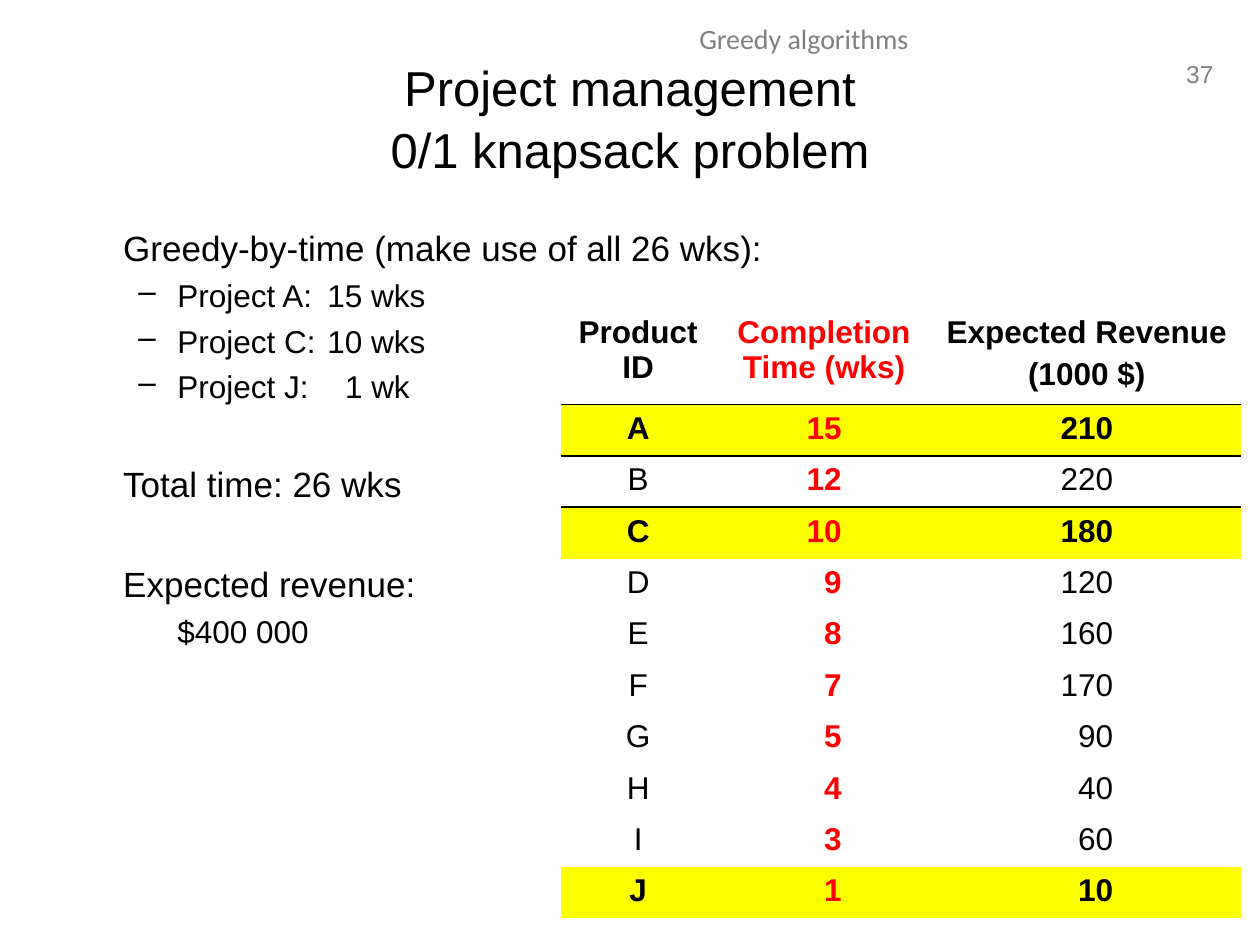
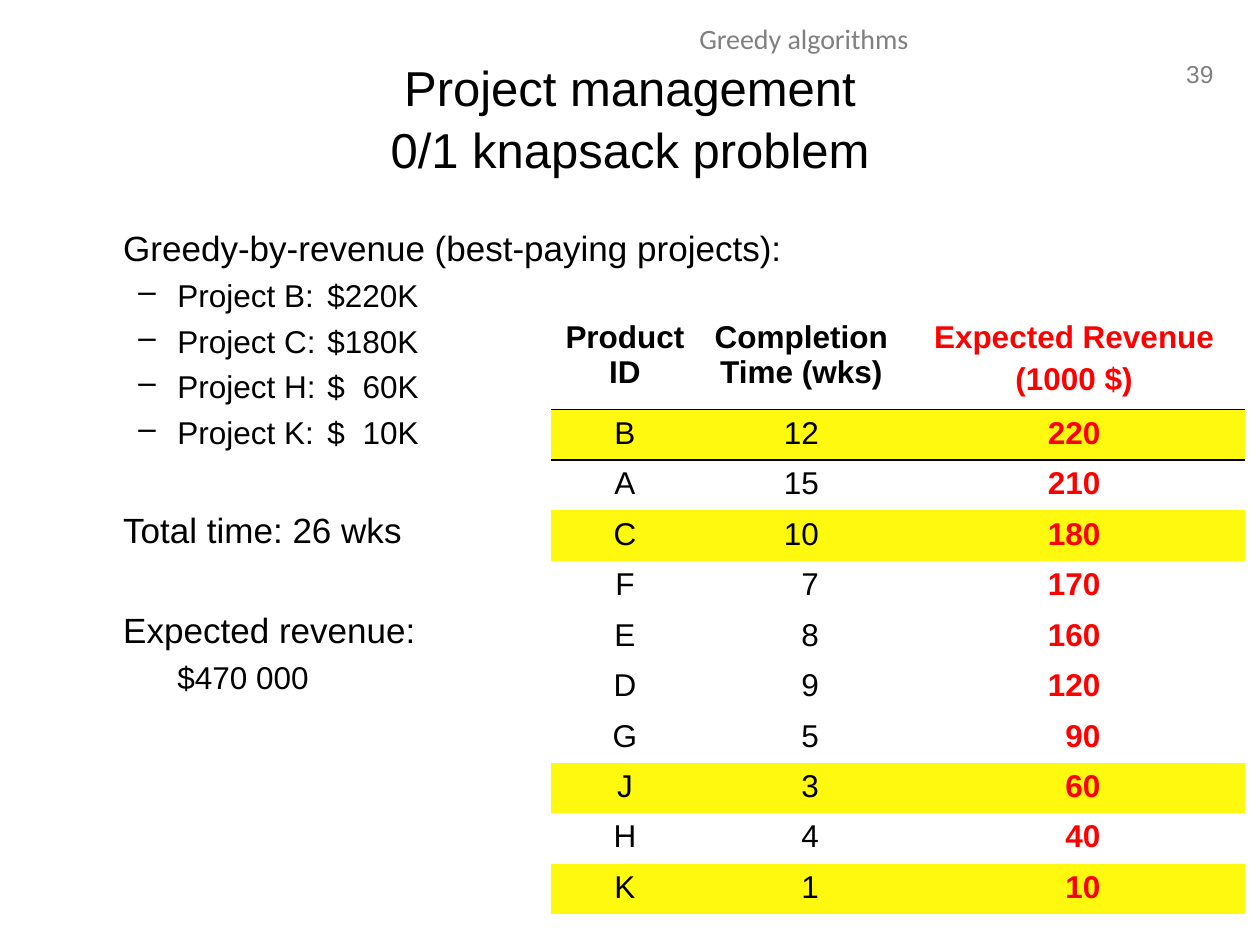
from lxml import etree
from pptx import Presentation
from pptx import util as u
from pptx.dml.color import RGBColor
from pptx.enum import text as t
from pptx.oxml.ns import qn

BLACK = RGBColor(0, 0, 0)
GREY = RGBColor(0x80, 0x80, 0x80)
RED = RGBColor(0xFF, 0, 0)
YELLOW = RGBColor(0xFF, 0xFF, 0)
LEMON = RGBColor(0xFF, 0xF9, 0x0F)

# Text styles
TITLE = dict(size=28, name="Arial", color=BLACK)
HEAD = dict(size=16, name="Calibri", color=GREY)
PAGE = dict(size=14, name="Arial", color=GREY)
LEAD = dict(size=20, name="Arial", color=BLACK)
ITEM = dict(size=18, name="Arial", color=BLACK)

MID, RIGHT = t.PP_ALIGN.CENTER, t.PP_ALIGN.RIGHT
NO_STYLE = "{2D5ABB26-0587-4C30-8999-92F81FD0307C}"
HEADS = ["Product ID", "Completion Time (wks)", "Expected Revenue\n(1000 $)"]
TOP_ROW = 0.76
DIGIT = 0.139  # width of one 18 pt digit, inches


def style(font, form):
    for key, val in form.items():
        if key == "color":
            font.color.rgb = val
        else:
            setattr(font, key, u.Pt(val) if key == "size" else val)


def write(para, words, form, **opts):
    para.text = words
    for key, val in opts.items():
        setattr(para, key, val)
    style(para.font, form)
    for run in para.runs:
        style(run.font, form)


def add_box(slide, place, **opts):
    frame = slide.shapes.add_textbox(*map(u.Inches, place)).text_frame
    frame.word_wrap = True
    for key, val in opts.items():
        setattr(frame, key, val)
    return frame


def indent(para, left, hang=0, dash=False, stops=()):
    props = para._p.get_or_add_pPr()
    props.set("marL", str(u.Inches(left)))
    props.set("indent", str(u.Inches(-hang)))
    if dash:
        etree.SubElement(props, qn("a:buChar"), char="–")
    else:
        etree.SubElement(props, qn("a:buNone"))
    if stops:
        tabs = etree.SubElement(props, qn("a:tabLst"))
        for stop in stops:
            etree.SubElement(tabs, qn("a:tab"), pos=str(u.Inches(stop)), algn="l")


def add_frame(slide, page):
    """Page number, running head and title."""
    box = add_box(slide, (9.29, 0.42, 0.44, 0.33), word_wrap=False,
                  auto_size=t.MSO_AUTO_SIZE.SHAPE_TO_FIT_TEXT)
    write(box.paragraphs[0], page, PAGE, alignment=RIGHT)
    box = add_box(slide, (3.19, 0.12, 6.38, 0.4))
    write(box.paragraphs[0], "Greedy algorithms", HEAD, alignment=MID)
    box = add_box(slide, (0.5, 0.3, 9, 1.25), vertical_anchor=t.MSO_ANCHOR.MIDDLE)
    write(box.paragraphs[0], "Project management\v0/1 knapsack problem", TITLE,
          alignment=MID, line_spacing=1.05)


def add_list(slide, lead, items, sum_text):
    """Lead line, dashed projects with their tab stops, then the totals."""
    box = add_box(slide, (0.5, 1.75, 9, 4.95))
    para = box.paragraphs[0]
    indent(para, 0.38)
    write(para, lead, LEAD)
    for words, stops in items:
        para = box.add_paragraph()
        indent(para, 0.81, 0.31, True, stops)
        write(para, words, ITEM, space_before=u.Pt(4.4))
    for words in ("Total time: 26 wks", "Expected revenue:"):
        para = box.add_paragraph()
        indent(para, 0.38)
        write(para, words, LEAD, space_before=u.Pt(33))
    para = box.add_paragraph()
    indent(para, 0.81)
    write(para, sum_text, ITEM, space_before=u.Pt(4.4))


def rule(cell, side):
    """Thin black line on one side of a cell, placed before its fill."""
    line = etree.Element(qn("a:" + side), w=str(u.Pt(1)))
    fill = etree.SubElement(line, qn("a:solidFill"))
    etree.SubElement(fill, qn("a:srgbClr"), val=str(BLACK))
    props = cell._tc.get_or_add_tcPr()
    spot = 1 if side == "lnB" and props.find(qn("a:lnT")) is not None else 0
    props.insert(spot, line)


def add_grid(slide, place, widths, rows, picks, tint, red, strong, ruled):
    """Project table: picks are tinted, column red is the sort key."""
    count = len(rows) + 1
    grid = slide.shapes.add_table(count, len(widths), *map(u.Inches, place)).table
    grid.first_row = grid.horz_banding = False
    grid._tbl.tblPr.find(qn("a:tableStyleId")).text = NO_STYLE
    for col, width in zip(grid.columns, widths):
        col.width = u.Inches(width)
    for i, row in enumerate(grid.rows):
        row.height = u.Inches((place[3] - TOP_ROW) / len(rows) if i else TOP_ROW)

    for i, vals in enumerate([HEADS] + rows):
        pick = vals[0] in picks
        for j, val in enumerate(vals):
            cell = grid.cell(i, j)
            if pick:
                cell.fill.solid()
                cell.fill.fore_color.rgb = tint
            else:
                cell.fill.background()
            form = dict(ITEM, color=RED if j == red else BLACK,
                        bold=i == 0 or j == red or (pick and strong))
            align = MID
            if i and j:  # right-align numbers in a block centred in the column
                align = RIGHT
                cell.margin_right = u.Inches((widths[j] - (j + 1) * DIGIT) / 2)
            cell.text = str(val)
            for k, para in enumerate(cell.text_frame.paragraphs):
                opts = dict(space_before=u.Pt(3.6)) if k else {}
                write(para, para.text, form, alignment=align, **opts)
            if i in ruled:
                rule(cell, "lnB")
            if i - 1 in ruled:
                rule(cell, "lnT")


def main():
    deck = Presentation()
    deck.slide_width, deck.slide_height = u.Inches(10), u.Inches(7.5)
    blank = deck.slide_layouts[6]

    # Greedy by time
    slide = deck.slides.add_slide(blank)
    add_frame(slide, "37")
    add_list(slide, "Greedy-by-time (make use of all 26 wks):",
             [("Project A:\t15 wks", [2]), ("Project C:\t10 wks", [2]),
              ("Project J:\t1 wk", [2.14])], "$400 000")
    rows = [("A", 15, 210), ("B", 12, 220), ("C", 10, 180), ("D", 9, 120),
            ("E", 8, 160), ("F", 7, 170), ("G", 5, 90), ("H", 4, 40),
            ("I", 3, 60), ("J", 1, 10)]
    add_grid(slide, (4.45, 2.45, 5.39, 4.84), (1.23, 1.72, 2.45), rows,
             "ACJ", YELLOW, red=1, strong=True, ruled=(0, 1))

    # Greedy by revenue
    slide = deck.slides.add_slide(blank)
    add_frame(slide, "39")
    add_list(slide, "Greedy-by-revenue (best-paying projects):",
             [("Project B:\t$220K", [2]), ("Project C:\t$180K", [2]),
              ("Project H:\t$\t60K", [2, 2.28]),
              ("Project K:\t$\t10K", [2, 2.28])], "$470 000")
    rows = [("B", 12, 220), ("A", 15, 210), ("C", 10, 180), ("F", 7, 170),
            ("E", 8, 160), ("D", 9, 120), ("G", 5, 90), ("J", 3, 60),
            ("H", 4, 40), ("K", 1, 10)]
    add_grid(slide, (4.37, 2.49, 5.51, 4.76), (1.18, 1.62, 2.71), rows,
             "BCJK", LEMON, red=2, strong=False, ruled=(0,))

    deck.save("out.pptx")


if __name__ == "__main__":
    main()
